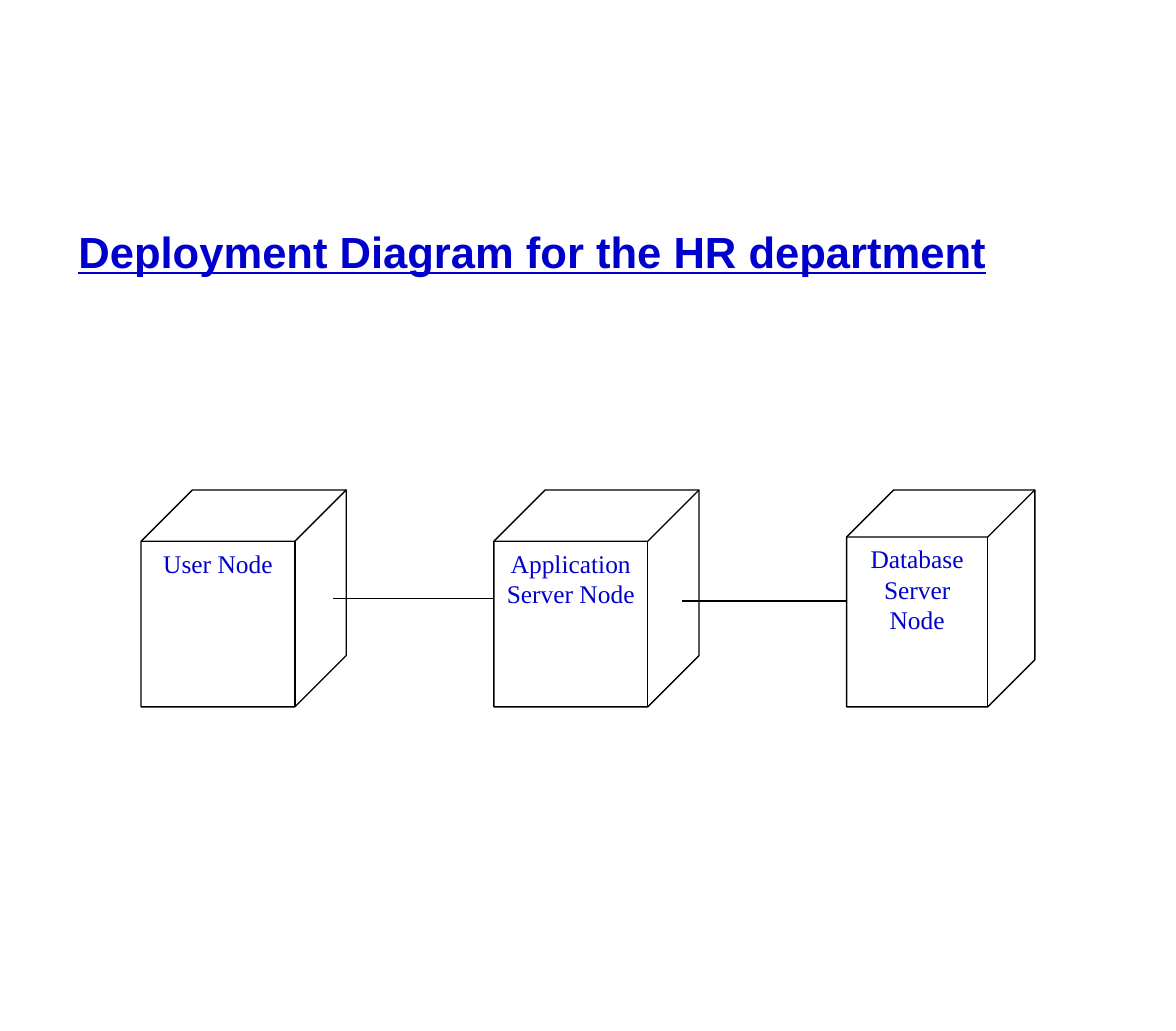
from dataclasses import dataclass

from lxml.etree import SubElement
from pptx import Presentation
from pptx.dml.color import RGBColor
from pptx.enum.shapes import MSO_CONNECTOR, MSO_SHAPE
from pptx.enum.text import MSO_ANCHOR, MSO_AUTO_SIZE, PP_ALIGN
from pptx.oxml.ns import qn
from pptx.slide import Slide
from pptx.text.text import Font, TextFrame
from pptx.util import Inches, Pt

BLUE = "0000CC"
BLACK = "000000"
NODE_TOP = 3.75
NODE_HEIGHT = 1.66


@dataclass
class Node:
    label: str
    left: float
    width: float


@dataclass
class Link:
    start: float
    end: float
    height: float


NODES = [
    Node("User Node", 1.08, 1.57),
    Node("Application Server Node", 3.78, 1.57),
    Node("Database Server Node", 6.48, 1.44),
]
LINKS = [Link(2.55, NODES[1].left, 4.58), Link(5.22, NODES[2].left, 4.6)]


def color(hex_value: str) -> RGBColor:
    return RGBColor.from_string(hex_value)


def style_font(font: Font, name: str, size: float) -> None:
    font.name = name
    font.size = Pt(size)
    font.color.rgb = color(BLUE)


def prepare_frame(frame: TextFrame, side_inset: float) -> None:
    frame.word_wrap = True
    frame.auto_size = MSO_AUTO_SIZE.NONE
    frame.vertical_anchor = MSO_ANCHOR.TOP
    frame.margin_left = frame.margin_right = Inches(side_inset)
    frame.margin_top = frame.margin_bottom = Inches(0.05)


def add_heading(slide: Slide, text: str) -> None:
    heading = slide.shapes.title
    heading.left, heading.top = Inches(0.5), Inches(1.67)
    heading.width, heading.height = Inches(7.95), Inches(0.5)
    prepare_frame(heading.text_frame, 0.1)
    paragraph = heading.text_frame.paragraphs[0]
    paragraph.alignment = PP_ALIGN.LEFT
    paragraph.space_before = Pt(0)
    paragraph.line_spacing = 1.0
    run = paragraph.add_run()
    run.text = text
    style_font(run.font, "Arial", 24)
    run.font.bold = True
    run.font.underline = True


def add_node(slide: Slide, node: Node) -> None:
    cube = slide.shapes.add_shape(
        MSO_SHAPE.CUBE, Inches(node.left), Inches(NODE_TOP),
        Inches(node.width), Inches(NODE_HEIGHT),
    )
    cube.adjustments[0] = 0.25
    cube.shadow.inherit = False
    cube.fill.background()
    cube.line.color.rgb = color(BLACK)
    cube.line.width = Pt(0.75)
    prepare_frame(cube.text_frame, 0.09)
    paragraph = cube.text_frame.paragraphs[0]
    paragraph.alignment = PP_ALIGN.CENTER
    run = paragraph.add_run()
    run.text = node.label
    style_font(run.font, "Times New Roman", 14)


def add_link(slide: Slide, link: Link) -> None:
    connector = slide.shapes.add_connector(
        MSO_CONNECTOR.STRAIGHT, Inches(link.start), Inches(link.height),
        Inches(link.end), Inches(link.height),
    )
    connector.line.color.rgb = color(BLACK)
    connector.line.width = Pt(0.75)
    SubElement(connector._element.spPr, qn("a:effectLst"))


def main() -> None:
    presentation = Presentation()
    presentation.slide_width = Inches(9)
    presentation.slide_height = Inches(7.89)
    slide = presentation.slides.add_slide(presentation.slide_layouts[5])
    add_heading(slide, "Deployment Diagram for the HR department")
    for node in NODES:
        add_node(slide, node)
    for link in LINKS:
        add_link(slide, link)
    presentation.save("out.pptx")


if __name__ == "__main__":
    main()
